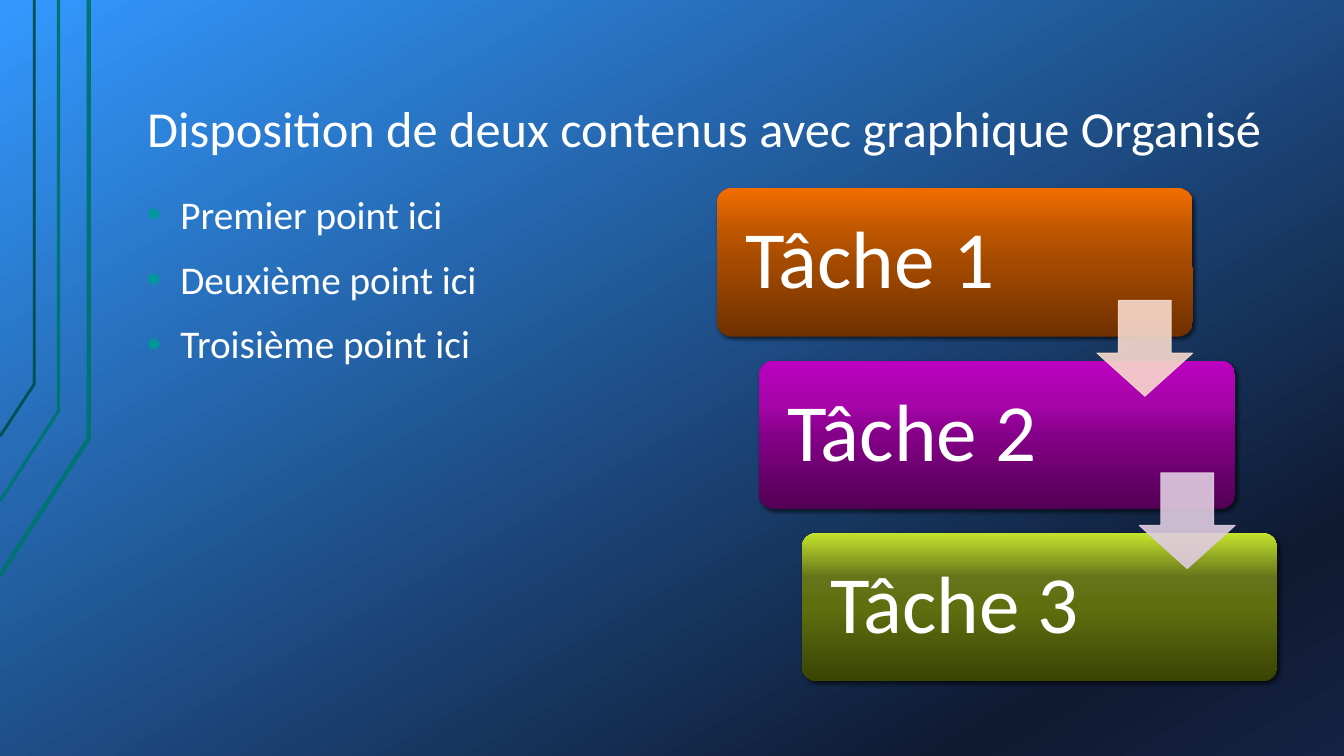
from lxml import etree
from pptx import Presentation
from pptx.dml.color import RGBColor
from pptx.enum.shapes import MSO_SHAPE
from pptx.enum.text import MSO_ANCHOR, MSO_AUTO_SIZE, PP_ALIGN
from pptx.oxml.ns import qn
from pptx.util import Inches, Pt

ROUND, ARROW = MSO_SHAPE.ROUNDED_RECTANGLE, MSO_SHAPE.DOWN_ARROW
TOP, MIDDLE, BOTTOM = MSO_ANCHOR.TOP, MSO_ANCHOR.MIDDLE, MSO_ANCHOR.BOTTOM
LEFT = PP_ALIGN.LEFT
NONE = MSO_AUTO_SIZE.NONE

FONT, WHITE, TEAL = "Calibri", "FFFFFF", "009999"
TITLE = "Disposition de deux contenus avec graphique Organisé"
POINTS = ["Premier point ici", "Deuxième point ici", "Troisième point ici"]
BACK = [(0, "3399FF"), (85, "0F1931"), (100, "142242")]
TASKS = [
    ("Tâche 1", ("703000", "A44A00", "BC5500", "F26D00")),
    ("Tâche 2", ("520054", "850088", "A505A9", "BC00C0")),
    ("Tâche 3", ("394404", "5F6F0F", "65741A", "C4E32D")),
]
STOPS = (0, 50, 70, 100)
ARROWS = ["F7DACC", "E0CCE1"]
LINES = [
    ([(0, 5.71), (0.88, 4.35), (0.88, 0)], "007373", 3),
    ([(0, 4.97), (0.58, 4.08), (0.58, 0)], "007373", 2.25),
    ([(0, 4.33), (0.34, 3.81), (0.34, 0)], "005050", 2),
]
BOX_X, BOX_Y, BOX_W, BOX_H = 7.11, 1.87, 4.72, 1.47
STEP_X, STEP_Y = 0.42, 1.71
ARROW_X, ARROW_Y, ARROW_SIZE = 3.77, 1.11, 0.95


def color(code):
    return RGBColor.from_string(code)


def add(parent, tag, **attrs):
    node = etree.SubElement(parent, qn(tag))
    for key, value in attrs.items():
        node.set(key, str(value))
    return node


def shade(fill, root, stops, angle):
    fill.gradient()
    fill.gradient_angle = 360 - angle
    rows = root.find(".//" + qn("a:gsLst"))
    for old in list(rows):
        rows.remove(old)
    for pos, code in stops:
        stop = add(rows, "a:gs", pos=pos * 1000)
        add(stop, "a:srgbClr", val=code)


def write(shape, lines, size, anchor, inset):
    frame = shape.text_frame
    frame.text = "\n".join(lines)
    frame.word_wrap = True
    frame.auto_size = NONE
    frame.vertical_anchor = anchor
    frame.margin_left = frame.margin_right = Inches(inset)
    frame.margin_top = frame.margin_bottom = Inches(0.07)
    for para in frame.paragraphs:
        para.alignment = LEFT
        para.line_spacing = 0.9
        for run in para.runs:
            run.font.name = FONT
            run.font.size = Pt(size)
            run.font.color.rgb = color(WHITE)
    return frame


def bullet(para):
    para.space_before = Pt(16)
    props = para._p.get_or_add_pPr()
    props.set("marL", str(Inches(0.33)))
    props.set("indent", str(-Inches(0.33)))
    add(add(props, "a:buClr"), "a:srgbClr", val=TEAL)
    add(props, "a:buFont", typeface="Arial")
    add(props, "a:buChar", char="•")


def cast(shape):
    effects = add(shape._element.spPr, "a:effectLst")
    shadow = add(effects, "a:outerShdw", blurRad=Pt(3), dist=Pt(2),
                 dir=45 * 60000, algn="ctr", rotWithShape=0)
    tint = add(shadow, "a:srgbClr", val="000000")
    add(tint, "a:alpha", val=60000)


def block(slide, kind, box, adjust):
    shape = slide.shapes.add_shape(kind, *map(Inches, box))
    for index, value in enumerate(adjust):
        shape.adjustments[index] = value
    return shape


def main():
    deck = Presentation()
    deck.slide_width, deck.slide_height = Inches(13.33), Inches(7.5)
    slide = deck.slides.add_slide(deck.slide_layouts[5])
    shade(slide.background.fill, slide._element, BACK, 60)

    for dots, code, width in LINES:
        spots = [(Inches(x), Inches(y)) for x, y in dots]
        trace = slide.shapes.build_freeform(*spots[0])
        trace.add_line_segments(spots[1:], close=False)
        line = trace.convert_to_shape()
        line.shadow.inherit = False
        line.fill.background()
        line.line.color.rgb = color(code)
        line.line.width = Pt(width)

    title = slide.shapes.title
    title.left, title.top = Inches(1.33), Inches(0.3)
    title.width, title.height = Inches(11.33), Inches(1.34)
    write(title, [TITLE], 36, BOTTOM, 0.13)

    body = slide.shapes.add_textbox(*map(Inches, (1.33, 1.87, 5.55, 4.88)))
    for para in write(body, POINTS, 28, TOP, 0.13).paragraphs:
        bullet(para)

    spots = [(BOX_X + i * STEP_X, BOX_Y + i * STEP_Y) for i in range(len(TASKS))]
    for (x, y), (label, codes) in zip(spots, TASKS):
        task = block(slide, ROUND, (x, y, BOX_W, BOX_H), [0.1])
        shade(task.fill, task._element, zip(STOPS, codes), 270)
        task.line.fill.background()
        cast(task)
        write(task, [label], 58, MIDDLE, 0.24)

    for (x, y), code in zip(spots, ARROWS):
        box = (x + ARROW_X, y + ARROW_Y, ARROW_SIZE, ARROW_SIZE)
        arrow = block(slide, ARROW, box, [0.55, 0.45])
        arrow.shadow.inherit = False
        arrow.fill.solid()
        arrow.fill.fore_color.rgb = color(code)
        arrow.line.color.rgb = color(code)
        arrow.line.width = Pt(0.75)
        for tint in arrow._element.spPr.iter(qn("a:srgbClr")):
            add(tint, "a:alpha", val=90000)

    deck.save("out.pptx")


if __name__ == "__main__":
    main()
